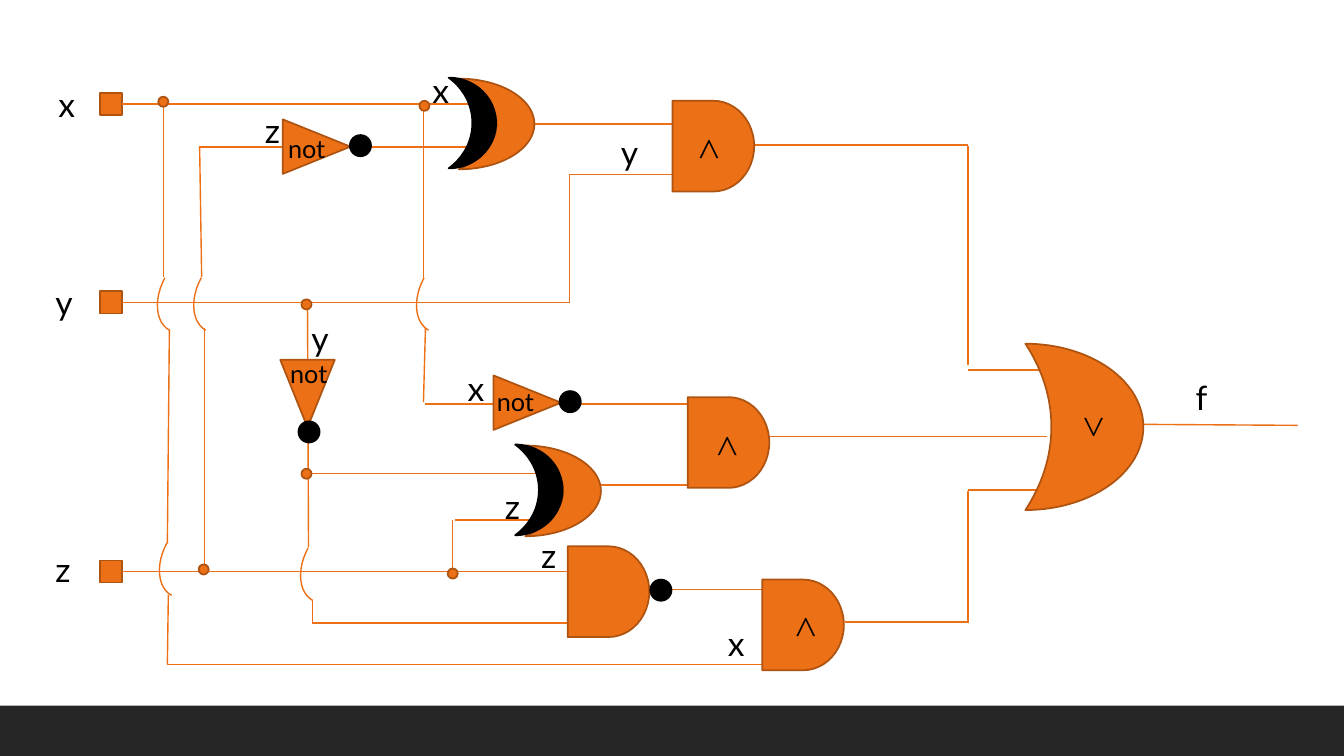
from pptx import Presentation
from pptx.dml.color import RGBColor
from pptx.enum.shapes import MSO_CONNECTOR, MSO_SHAPE
from pptx.oxml.ns import qn
from pptx.util import Pt
from lxml import etree

PX = 9144  # 100 px to the inch
RECTANGLE, OVAL, ARC = MSO_SHAPE.RECTANGLE, MSO_SHAPE.OVAL, MSO_SHAPE.ARC
TRIANGLE, MOON, DELAY = MSO_SHAPE.ISOSCELES_TRIANGLE, MSO_SHAPE.MOON, MSO_SHAPE.FLOWCHART_DELAY
STRAIGHT = MSO_CONNECTOR.STRAIGHT
ORANGE, EDGE, BLACK, FOOTER = "EC7016", "AF5310", "000000", "262626"

presentation = Presentation()
presentation.slide_width, presentation.slide_height = 1333 * PX, 750 * PX
slide = presentation.slides.add_slide(presentation.slide_layouts[6])


def color(hex_string):
    return RGBColor.from_string(hex_string)


def add_part(kind, left, top, width, height, fill=ORANGE, edge=EDGE, rotation=0):
    shape = slide.shapes.add_shape(kind, left * PX, top * PX, width * PX, height * PX)
    shape.shadow.inherit = False
    shape.rotation = rotation
    if fill:
        shape.fill.solid()
        shape.fill.fore_color.rgb = color(fill)
    else:
        shape.fill.background()
    if edge:
        shape.line.color.rgb = color(edge)
        shape.line.width = Pt(1.25)
    else:
        shape.line.fill.background()
    return shape


# Footer bar
add_part(RECTANGLE, 0, 700, 1333, 50, FOOTER, None)

# Input squares, centred on their wires
inputs = {y: add_part(RECTANGLE, 99, y - 11, 22, 22) for y in (103, 300, 567)}

# Wires: x1, y1, x2, y2
wires = [
    # from the inputs
    (121, 103, 507, 103), (121, 300, 565, 300), (121, 567, 614, 567),
    # x down to the last AND gate
    (162, 103, 162, 275), (168, 327, 166, 539), (167, 590, 166, 659), (166, 659, 770, 659),
    # z up to the first NOT gate
    (203, 325, 203, 567), (198, 145, 200, 275), (198, 146, 468, 146),
    # first AND gate inputs
    (530, 123, 667, 123), (565, 173, 565, 300), (565, 173, 667, 173),
    # x down to the second NOT gate
    (420, 103, 420, 277), (422, 325, 420, 399), (422, 401, 691, 401),
    # y through its NOT gate
    (305, 301, 306, 543), (305, 470, 563, 470), (310, 595, 310, 619), (310, 618, 563, 618),
    # lower gates
    (665, 585, 770, 585), (449, 516, 449, 565), (451, 516, 563, 516), (596, 481, 691, 481),
    # into the OR gate and out to f
    (838, 617, 960, 617), (960, 487, 960, 618), (960, 486, 1038, 486),
    (763, 433, 1038, 433),
    (744, 144, 960, 144), (960, 145, 960, 362), (960, 367, 1038, 367),
    (1134, 421, 1287, 422),
]
for x1, y1, x2, y2 in wires:
    wire = slide.shapes.add_connector(STRAIGHT, x1 * PX, y1 * PX, x2 * PX, y2 * PX)
    wire.line.color.rgb = color(ORANGE)
    wire.line.width = Pt(1)
    etree.SubElement(wire.element.spPr, qn("a:effectLst"))
    if x1 == 121:
        wire.begin_connect(inputs[y1], 3)

# Arcs where wires hop over each other
for left, top in [(196, 246), (160, 246), (162, 509), (417, 246), (302, 514)]:
    hop = add_part(ARC, left, top, 58, 87, None, ORANGE, 208.7)
    hop.line.width = Pt(1)

# XOR gates: orange body with a black crescent behind it
for left, top in [(455, 78), (521, 442)]:
    add_part(MOON, left, top, 75, 90, rotation=180)
    add_part(MOON, left - 10, top - 1, 47, 90, BLACK, BLACK, 180)

# OR gate
or_gate = add_part(MOON, 1017, 341, 117, 165, rotation=180)
or_gate.adjustments[0] = 0.78

# AND gates
for left, top in [(667, 100), (563, 542), (756, 575), (682, 394)]:
    add_part(DELAY, left, top, 81, 90)

# NOT gates
for left, top, rotation in [(287, 112, 90), (496, 366, 90), (278, 357, 180)]:
    add_part(TRIANGLE, left, top, 54, 67, rotation=rotation)

# Inversion bubbles
for left, top in [(347, 134), (555, 388), (296, 418), (645, 575)]:
    add_part(OVAL, left, top, 21, 21, BLACK, BLACK)

# Junction dots
for left, top in [(157, 96), (416, 100), (299, 297), (197, 560), (444, 564), (299, 465)]:
    add_part(OVAL, left, top, 10, 10)

# Labels: size, font, box width and height, then text, left, top, rotation
label_groups = [
    (24, "Lato", 53, 50, [
        ("x", 48, 78, 0), ("y", 45, 275, 0), ("z", 45, 540, 0), ("f", 1176, 369, 0),
        ("x", 419, 64, 0), ("y", 606, 126, 0), ("x", 712, 613, 0), ("x", 454, 360, 0),
        ("z", 527, 526, 0), ("z", 491, 477, 0), ("z", 253, 104, 0), ("y", 299, 310, 0)]),
    (28, "Times New Roman", 64, 57, [
        ("˅", 1064, 393, 0), ("˅", 660, 122, 180), ("˅", 678, 417, 180), ("˅", 756, 596, 180)]),
    (18, "Lato", 67, 40, [
        ("not", 276, 127, 0), ("not", 278, 351, 0), ("not", 483, 378, 0)]),
]
for size, font_name, width, height, labels in label_groups:
    for text, left, top, rotation in labels:
        label = slide.shapes.add_textbox(left * PX, top * PX, width * PX, height * PX)
        label.rotation = rotation
        label.text_frame.word_wrap = True
        paragraph = label.text_frame.paragraphs[0]
        paragraph.text = text
        paragraph.font.size = Pt(size)
        paragraph.font.name = font_name
        paragraph.font.color.rgb = color(BLACK)

presentation.save("out.pptx")
